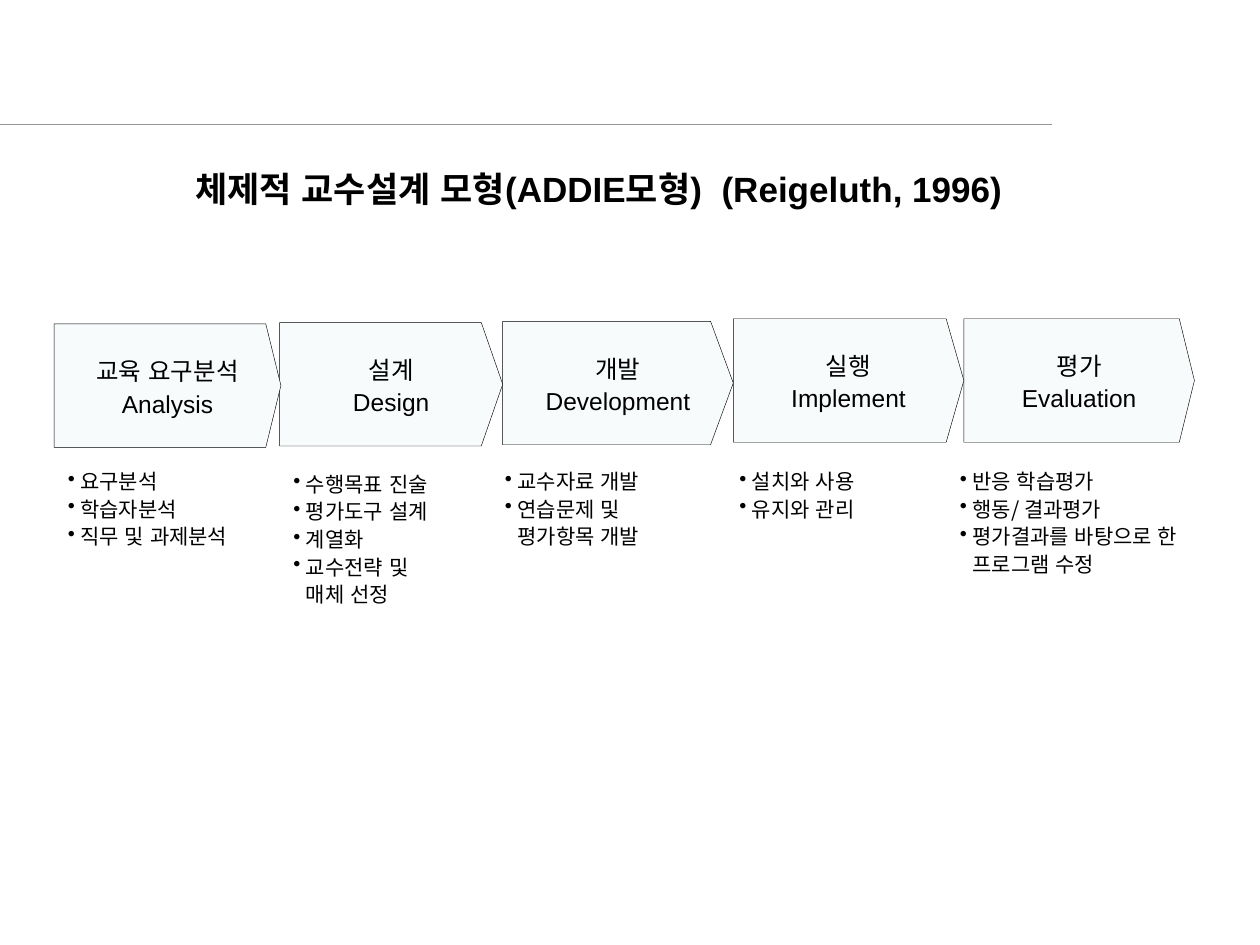
from lxml.etree import SubElement
from pptx import Presentation
from pptx.dml.color import RGBColor
from pptx.enum.lang import MSO_LANGUAGE_ID as Lang
from pptx.enum.shapes import MSO_CONNECTOR as Conn
from pptx.enum.text import MSO_ANCHOR as Anchor, PP_ALIGN as Align
from pptx.oxml.ns import qn
from pptx.util import Inches, Pt

COLORS = {"text": "000000", "step": "F8FBFC", "edge": "000000", "rule": "969696"}
HANGUL = "Noto Sans CJK KR"

# Arrow: left, top, width, tip depth; list: left, top, width, height
STEPS = [
    ((0.43, 2.57, 1.80, 0.12), ["교육 요구분석", "Analysis"],
     (0.44, 3.65, 1.73, 1.24), ["요구분석", "학습자분석", "직무 및 과제분석"]),
    ((2.22, 2.56, 1.77, 0.17), ["설계", "Design"],
     (2.23, 3.67, 1.35, 1.50),
     ["수행목표 진술", "평가도구 설계", "계열화", "교수전략 및 매체 선정"]),
    ((3.99, 2.55, 1.83, 0.18), ["개발", "Development"],
     (3.91, 3.65, 1.73, 1.24), ["교수자료 개발", "연습문제 및 평가항목 개발"]),
    ((5.82, 2.53, 1.83, 0.14), ["실행", "Implement"],
     (5.77, 3.65, 1.73, 1.24), ["설치와 사용", "유지와 관리"]),
    ((7.65, 2.53, 1.83, 0.12), ["평가", "Evaluation"],
     (7.52, 3.65, 1.96, 2.23),
     ["반응 학습평가", "행동/ 결과평가", "평가결과를 바탕으로 한 프로그램 수정"]),
]


def rgb(name):
    return RGBColor.from_string(COLORS[name])


def add_bullet(para, indent):
    props = para._p.get_or_add_pPr()
    props.set("marL", str(Inches(indent)))
    props.set("indent", str(-Inches(indent)))
    SubElement(props, qn("a:buChar")).set("char", "•")


def put_text(shape, lines, size=12, font=HANGUL, bold=False, align=Align.LEFT,
             anchor=Anchor.TOP, space=1.1, bullet=None):
    frame = shape.text_frame
    frame.word_wrap = True
    frame.vertical_anchor = anchor
    for i, line in enumerate(lines):
        para = frame.add_paragraph() if i else frame.paragraphs[0]
        para.alignment = align
        para.line_spacing = space
        if bullet:
            add_bullet(para, bullet)
        run = para.add_run()
        run.text = line
        style = run.font
        style.size, style.bold, style.name = Pt(size), bold, font
        style.language_id = Lang.KOREAN
        style.color.rgb = rgb("text")
        SubElement(run._r.get_or_add_rPr(), qn("a:ea")).set("typeface", HANGUL)


def add_box(slide, box, lines, **style):
    shape = slide.shapes.add_textbox(*map(Inches, box))
    put_text(shape, lines, **style)


def add_rule(slide, left, right, top):
    line = slide.shapes.add_connector(
        Conn.STRAIGHT, Inches(left), Inches(top), Inches(right), Inches(top))
    line.line.color.rgb = rgb("rule")
    line.line.width = Pt(0.75)
    SubElement(line._element.spPr, qn("a:effectLst"))


def add_arrow(slide, left, top, width, tip, lines, height=0.98):
    right, low = left + width, top + height
    points = [(right - tip, top), (right, top + height / 2),
              (right - tip, low), (left, low)]
    pen = slide.shapes.build_freeform(Inches(left), Inches(top))
    pen.add_line_segments([(Inches(x), Inches(y)) for x, y in points], close=True)
    shape = pen.convert_to_shape()
    shape.shadow.inherit = False
    shape.fill.solid()
    shape.fill.fore_color.rgb = rgb("step")
    shape.line.color.rgb = rgb("edge")
    shape.line.width = Pt(0.25)
    put_text(shape, lines, size=14, font="Arial", align=Align.CENTER,
             anchor=Anchor.MIDDLE)


def main():
    deck = Presentation()
    deck.slide_width, deck.slide_height = Inches(10), Inches(7.5)
    slide = deck.slides.add_slide(deck.slide_layouts[6])

    # Heading
    add_rule(slide, 0, 8.35, 0.99)
    add_box(slide, (1.45, 1.28, 7.32, 0.44),
            ["체제적 교수설계 모형(ADDIE모형)  (Reigeluth, 1996)"],
            size=20, font="Arial", bold=True, space=1.0)

    # Steps from last to first, so that each tip lies over the next step
    for arrow, label, _, _ in reversed(STEPS):
        add_arrow(slide, *arrow, label)

    # Tasks under each step
    for _, _, box, tasks in STEPS:
        add_box(slide, box, tasks, bullet=0.1)

    deck.save("out.pptx")


if __name__ == "__main__":
    main()
